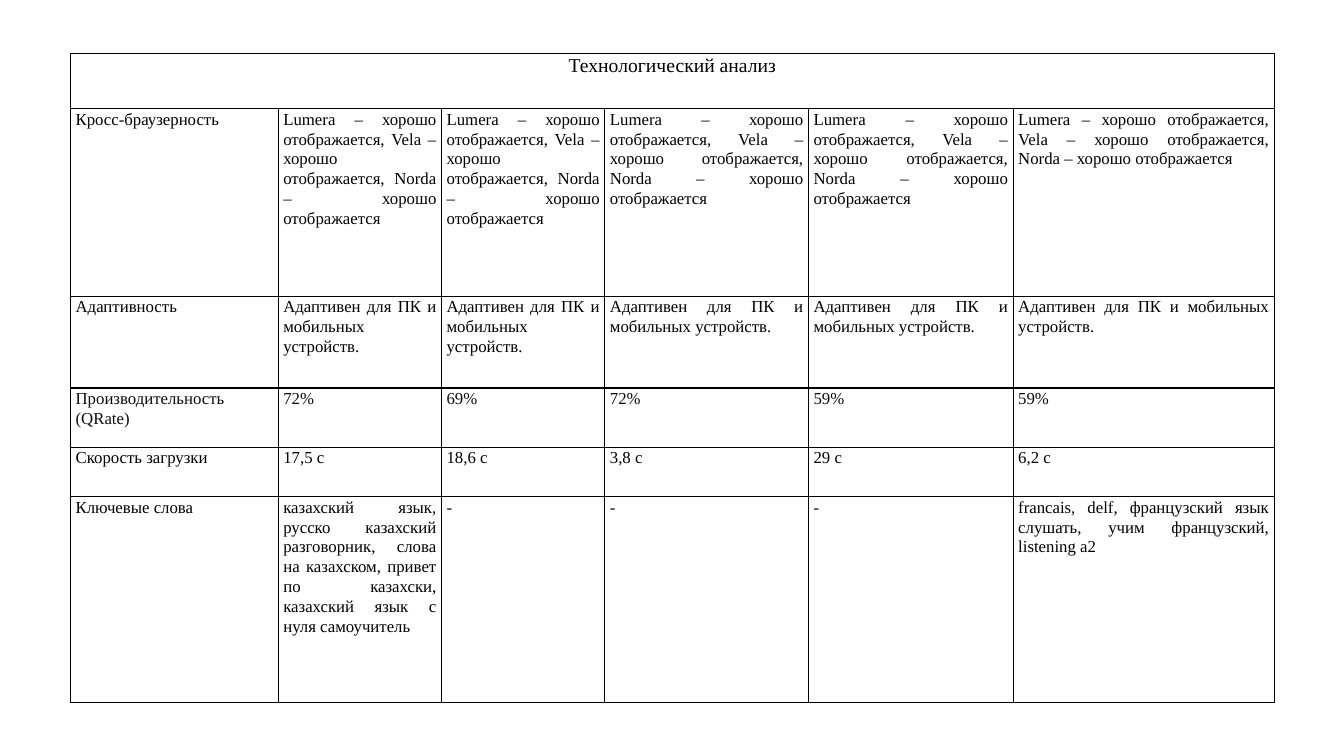
import lxml.etree
import pptx
import pptx.dml.color
import pptx.enum.text
import pptx.oxml.ns
import pptx.util

Inches = pptx.util.Inches
ALIGN = pptx.enum.text.PP_ALIGN

FONT = "Times New Roman"
BLACK = "000000"
NEAR_BLACK = "0D0D0D"
COLUMN_WIDTHS = [2.06, 1.62, 1.62, 2.02, 2.03, 2.59]
ROW_HEIGHTS = [0.55, 1.86, 0.91, 0.59, 0.49, 2.04]
TITLE = "Технологический анализ"
BROWSERS = "Lumera – хорошо отображается, Vela – хорошо отображается, Norda – хорошо отображается"
ADAPTIVE = "Адаптивен для ПК и мобильных устройств."
KAZAKH_KEYWORDS = (
    "казахский язык, русско казахский разговорник, слова на казахском, "
    "привет по казахски, казахский язык с нуля самоучитель"
)
FRENCH_KEYWORDS = "francais, delf, французский язык слушать, учим французский, listening a2"
CRITERIA = [
    (BLACK, ["Кросс-браузерность"] + [BROWSERS] * 5),
    (BLACK, ["Адаптивность"] + [ADAPTIVE] * 5),
    (NEAR_BLACK, ["Производительность (QRate)", "72%", "69%", "72%", "59%", "59%"]),
    (BLACK, ["Скорость загрузки", "17,5 с", "18,6 с", "3,8 с", "29 с", "6,2 с"]),
    (BLACK, ["Ключевые слова", KAZAKH_KEYWORDS, "-", "-", "-", FRENCH_KEYWORDS]),
]


def rgb(color):
    return pptx.dml.color.RGBColor.from_string(color)


def add_borders(cell, color, points):
    qn = pptx.oxml.ns.qn
    properties = cell._tc.get_or_add_tcPr()
    for side in ("lnL", "lnR", "lnT", "lnB"):
        line = lxml.etree.SubElement(
            properties, qn(f"a:{side}"), w=str(pptx.util.Pt(points))
        )
        fill = lxml.etree.SubElement(line, qn("a:solidFill"))
        lxml.etree.SubElement(fill, qn("a:srgbClr"), val=color)


def format_cell(cell):
    add_borders(cell, BLACK, 1)
    cell.fill.background()
    cell.margin_left = cell.margin_right = Inches(0.05)
    cell.margin_top = cell.margin_bottom = 0


def write_cell(cell, text, size, color, alignment):
    cell.text = text
    paragraph = cell.text_frame.paragraphs[0]
    paragraph.alignment = alignment
    paragraph.line_spacing = 1.07
    paragraph.font.name = FONT
    paragraph.font.size = pptx.util.Pt(size)
    paragraph.font.bold = False
    paragraph.font.color.rgb = rgb(color)


def add_analysis_table(slide):
    table = slide.shapes.add_table(
        len(ROW_HEIGHTS), len(COLUMN_WIDTHS),
        Inches(0.7), Inches(0.53),
        Inches(sum(COLUMN_WIDTHS)), Inches(sum(ROW_HEIGHTS)),
    ).table
    table.first_row = False
    table.horz_banding = False
    for column, width in zip(table.columns, COLUMN_WIDTHS):
        column.width = Inches(width)
    for row, height in zip(table.rows, ROW_HEIGHTS):
        row.height = Inches(height)
    for cell in table.iter_cells():
        format_cell(cell)

    table.cell(0, 0).merge(table.cell(0, len(COLUMN_WIDTHS) - 1))
    write_cell(table.cell(0, 0), TITLE, 14, BLACK, ALIGN.CENTER)
    for row_index, (color, texts) in enumerate(CRITERIA, start=1):
        for column_index, text in enumerate(texts):
            cell = table.cell(row_index, column_index)
            write_cell(cell, text, 12, color, ALIGN.JUSTIFY)


def main():
    presentation = pptx.Presentation()
    presentation.slide_width = Inches(13.33)
    presentation.slide_height = Inches(7.5)
    slide = presentation.slides.add_slide(presentation.slide_layouts[6])
    add_analysis_table(slide)
    presentation.save("out.pptx")


if __name__ == "__main__":
    main()
